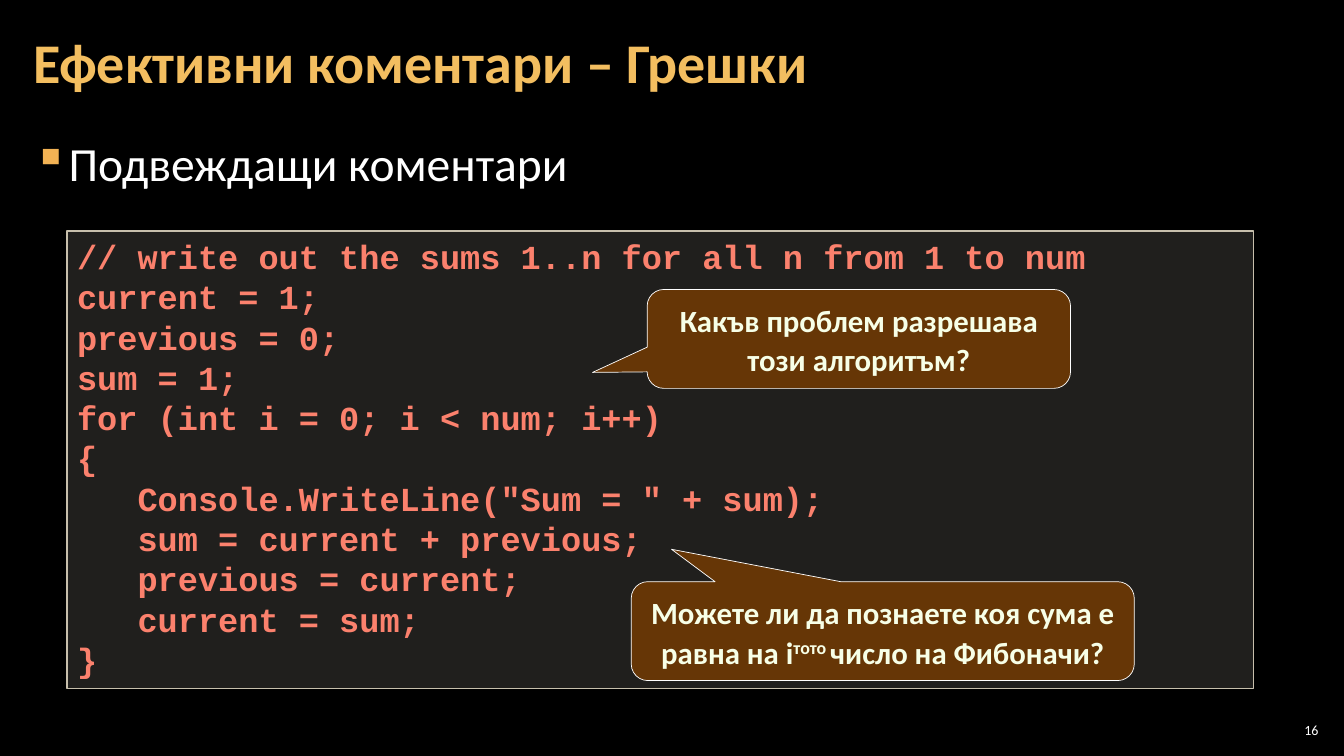
from lxml.etree import SubElement
from pptx import Presentation
from pptx.dml.color import RGBColor
from pptx.enum.shapes import MSO_SHAPE as Shape
from pptx.enum.text import MSO_ANCHOR as Anchor, PP_ALIGN as Align
from pptx.oxml.ns import qn
from pptx.util import Pt

COLORS = {
    "background": "000000", "title": "F3BE60", "text": "FFFFFF",
    "bullet": "F2B254", "panel": "D9D5C7", "panel_line": "C7BFAC",
    "code": "FB816D", "callout": "663606", "callout_text": "F7FFE7",
}
TITLE = "Ефективни коментари – Грешки"
BULLET = "Подвеждащи коментари"
PAGE_NUMBER = "16"
CODE = [
    "// write out the sums 1..n for all n from 1 to num",
    "current = 1;",
    "previous = 0;",
    "sum = 1;",
    "for (int i = 0; i < num; i++)",
    "{",
    "   Console.WriteLine(\"Sum = \" + sum);",
    "   sum = current + previous;",
    "   previous = current;",
    "   current = sum;",
    "}",
]
CALLOUTS = [
    {"box": (462.3, 206.8, 302.4, 70.6), "tail": (-0.629, 0.339),
     "runs": [("Какъв проблем разрешава този алгоритъм?", False)]},
    {"box": (450.9, 415.5, 359.3, 70.6), "tail": (-0.42, -0.828),
     "runs": [("Можете ли да познаете коя сума е равна на i", False),
              ("тото ", True), ("число на Фибоначи?", False)]},
]


def color(name):
    return RGBColor.from_string(COLORS[name])


def style(paragraph, size, color_name, bold=False, name="Calibri"):
    font = paragraph.font
    font.size, font.bold, font.name = Pt(size), bold, name
    font.color.rgb = color(color_name)


def set_frame(shape, anchor, inset_x=7.2, inset_y=3.6):
    frame = shape.text_frame
    frame.word_wrap = True
    frame.vertical_anchor = anchor
    frame.margin_left = frame.margin_right = Pt(inset_x)
    frame.margin_top = frame.margin_bottom = Pt(inset_y)
    return frame


def add_text(slide, box, text, anchor, inset_x=8.5, inset_y=2.83):
    shape = slide.shapes.add_textbox(*map(Pt, box))
    paragraph = set_frame(shape, anchor, inset_x, inset_y).paragraphs[0]
    paragraph.text = text
    return paragraph


def add_box(slide, kind, box, fill, line, width):
    shape = slide.shapes.add_shape(kind, *map(Pt, box))
    shape.shadow.inherit = False
    shape.fill.solid()
    shape.fill.fore_color.rgb = color(fill)
    shape.line.color.rgb = color(line)
    shape.line.width = Pt(width)
    return shape


def add_bullet(paragraph):
    properties = paragraph._p.get_or_add_pPr()
    properties.set("marL", str(Pt(24)))
    properties.set("indent", str(Pt(-24)))
    bullet_color = SubElement(properties, qn("a:buClr"))
    SubElement(bullet_color, qn("a:srgbClr"), val=COLORS["bullet"])
    SubElement(properties, qn("a:buChar"), char="▪")


def add_code(slide):
    panel = add_box(slide, Shape.RECTANGLE, (48, 164.9, 847.5, 326.9),
                    "panel", "panel_line", 1)
    panel_color = panel.fill._xPr.find(qn("a:solidFill")).find(qn("a:srgbClr"))
    SubElement(panel_color, qn("a:alpha"), val="15000")
    frame = set_frame(panel, Anchor.TOP)
    frame.text = "\n".join(CODE)
    for paragraph in frame.paragraphs:
        paragraph.alignment = Align.LEFT
        style(paragraph, 24, "code", True, "Courier New")


def add_callout(slide, callout):
    shape = add_box(slide, Shape.ROUNDED_RECTANGULAR_CALLOUT, callout["box"],
                    "callout", "text", 0.5)
    for index, value in enumerate((*callout["tail"], 0.167)):
        shape.adjustments[index] = value
    paragraph = set_frame(shape, Anchor.MIDDLE).paragraphs[0]
    paragraph.alignment = Align.CENTER
    paragraph.line_spacing = Pt(28)
    style(paragraph, 22, "callout_text", True)
    for text, raised in callout["runs"]:
        run = paragraph.add_run()
        run.text = text
        if raised:
            run._r.get_or_add_rPr().set("baseline", "30000")


def main():
    presentation = Presentation()
    presentation.slide_width, presentation.slide_height = Pt(960), Pt(540)
    slide = presentation.slides.add_slide(presentation.slide_layouts[6])
    slide.background.fill.solid()
    slide.background.fill.fore_color.rgb = color("background")

    bullet = add_text(slide, (15.1, 90.7, 929.5, 438.5), BULLET, Anchor.TOP)
    add_bullet(bullet)
    bullet.line_spacing = 1.05
    bullet.space_after = Pt(6)
    style(bullet, 34, "text")

    title = add_text(slide, (15.1, 2.9, 929.5, 87.1), TITLE, Anchor.MIDDLE)
    title.line_spacing = 0.9
    style(title, 40, "title", True)

    add_code(slide)
    for callout in CALLOUTS:
        add_callout(slide, callout)

    number = add_text(slide, (910.8, 514.1, 33.8, 15.1), PAGE_NUMBER,
                      Anchor.MIDDLE, 2.83)
    number.alignment = Align.RIGHT
    style(number, 10, "text")
    presentation.save("out.pptx")


if __name__ == "__main__":
    main()
